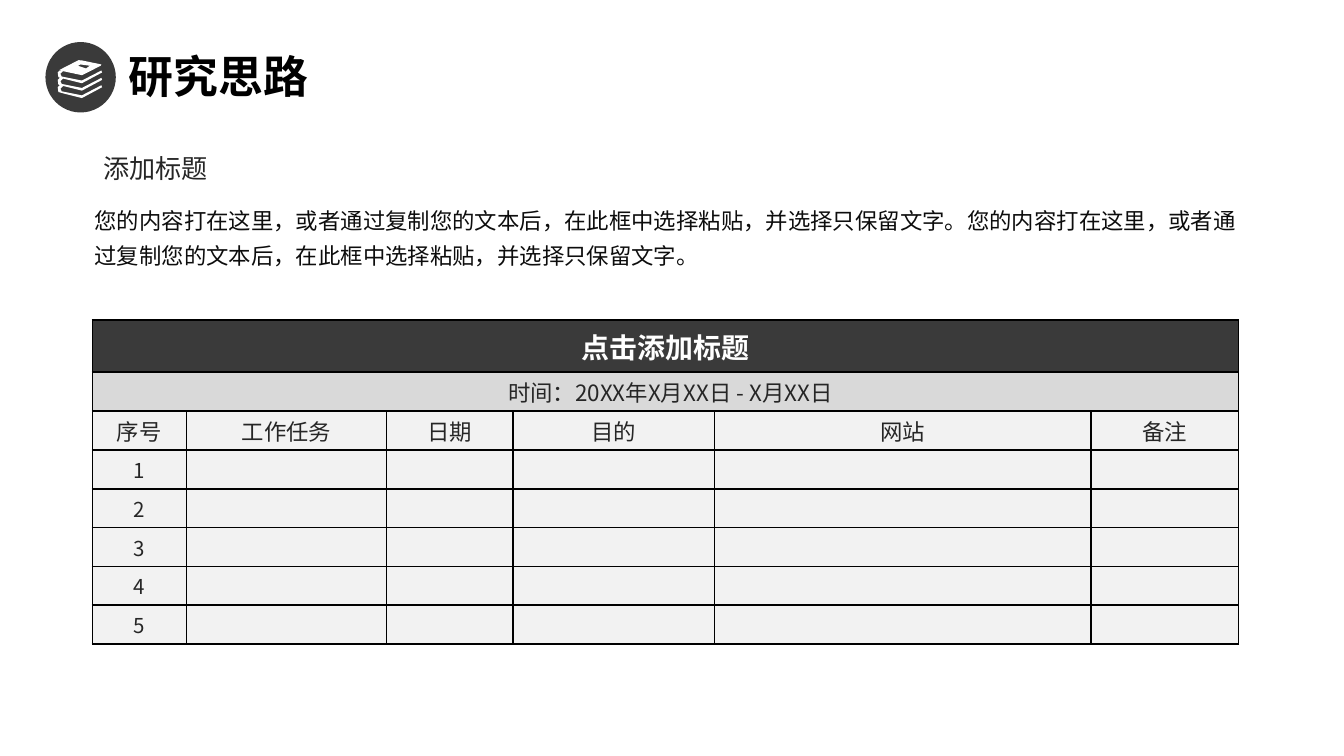
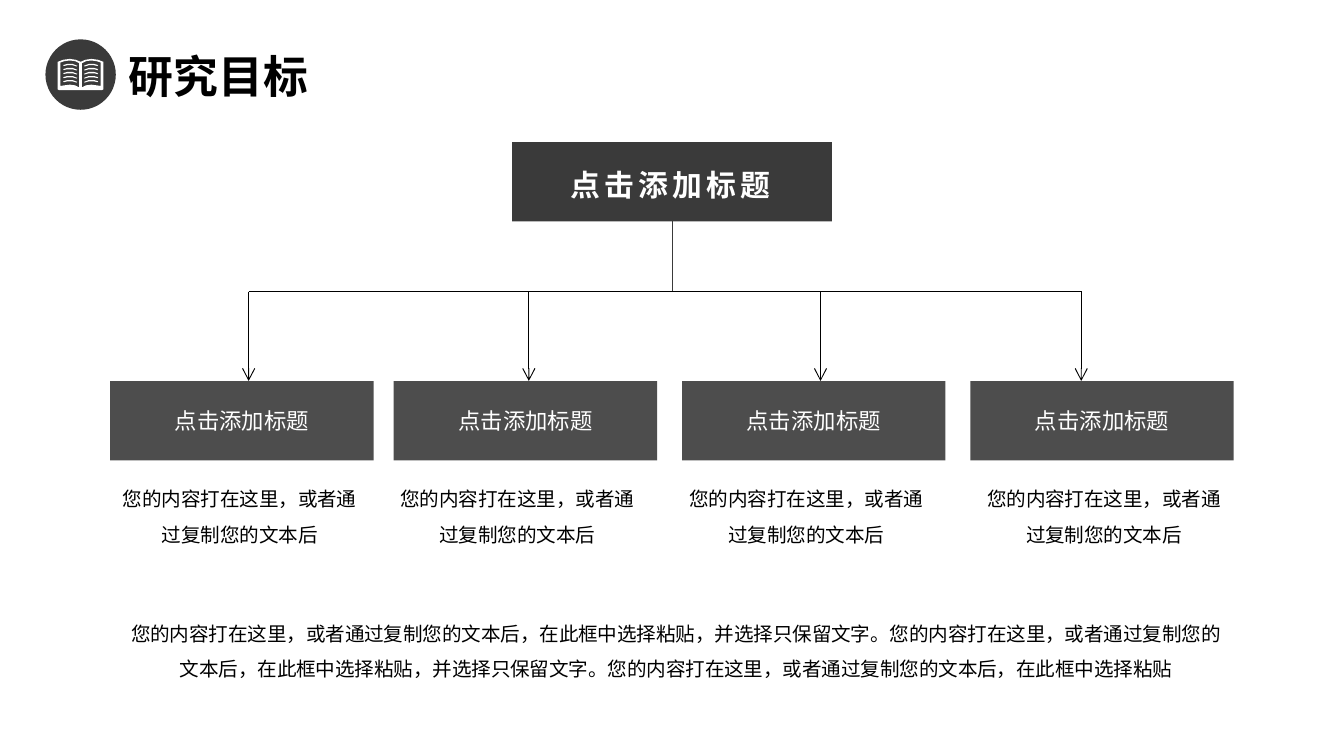
from lxml import etree
from pptx import Presentation
from pptx.dml.color import RGBColor
from pptx.enum import shapes, text
from pptx.oxml import ns
from pptx.util import Inches, Pt

COLS, ROWS = 100, 56.25  # grid cells on the slide, each a tenth of an inch
CELL = Inches(0.1)
SANS = "Noto Sans CJK SC"
HUE = {
    "ink": "000000", "body": "0D0D0D", "soft": "262626", "dark": "3A3A3A",
    "box": "4D4D4D", "band": "D9D9D9", "pale": "F2F2F2", "white": "FFFFFF",
}
MID = text.PP_ALIGN.CENTER

HEAD = "点击添加标题"
PART = "您的内容打在这里，或者通过复制您的文本后"
FULL = PART + "，在此框中选择粘贴，并选择只保留文字。"


def rgb(name):
    return RGBColor.from_string(HUE[name])


def grid(*cells):
    return [round(c * CELL) for c in cells]


def sub(node, tag, **attrs):
    return etree.SubElement(node, ns.qn(tag), **attrs)


class Deck:
    def __init__(self):
        self.prs = Presentation()
        self.prs.slide_width, self.prs.slide_height = grid(COLS, ROWS)
        self.page = None

    def start(self, title, wide):
        """Open a blank slide with its heading."""
        self.page = self.prs.slides.add_slide(self.prs.slide_layouts[6]).shapes
        self.words(title, (8.6, 3.1, wide, 5.1), 24, bold=True, font="Arial")

    def run(self, para, words, size, hue, bold=False, font=SANS, track=None):
        run = para.add_run()
        run.text = words
        run.font.size, run.font.bold, run.font.name = Pt(size), bold, font
        run.font.color.rgb = rgb(hue)
        props = run.font._element
        sub(props, "a:ea", typeface=SANS)
        if track:
            props.set("spc", str(round(track * 100)))

    def words(self, words, at, size, hue="ink", align=None, lead=None,
              wrap=True, **style):
        frame = self.page.add_textbox(*grid(*at)).text_frame
        frame.word_wrap = wrap
        frame.auto_size = text.MSO_AUTO_SIZE.SHAPE_TO_FIT_TEXT
        para = frame.paragraphs[0]
        para.alignment, para.line_spacing = align, lead
        self.run(para, words, size, hue, **style)

    def paint(self, shape, fill, line=None):
        shape.shadow.inherit = False
        shape.fill.solid()
        shape.fill.fore_color.rgb = rgb(fill)
        if line:
            shape.line.color.rgb, shape.line.width = rgb(line), Pt(1)
        else:
            shape.line.fill.background()
        return shape

    def rect(self, at, fill):
        kind = shapes.MSO_SHAPE.RECTANGLE
        return self.paint(self.page.add_shape(kind, *grid(*at)), fill)

    def disc(self, top):
        kind = shapes.MSO_SHAPE.OVAL
        disc = self.page.add_shape(kind, *grid(3.45, top, 5.1, 5.1))
        self.paint(disc, "dark", "dark")

    def free(self, *loops):
        """Draw one white shape from closed outlines; inner ones are holes."""
        pen = self.page.build_freeform(*grid(*loops[0][0]), scale=1.0)
        for i, loop in enumerate(loops):
            pts = [grid(*p) for p in loop]
            if i:
                pen.move_to(*pts[0])
            pen.add_line_segments(pts[1:], close=True)
        self.paint(pen.convert_to_shape(), "white")

    def line(self, start, end, hue="ink", arrow=False):
        kind = shapes.MSO_CONNECTOR.STRAIGHT
        line = self.page.add_connector(kind, *grid(*start, *end))
        line.line.color.rgb, line.line.width = rgb(hue), Pt(0.5)
        if arrow:
            sub(line.line._get_or_add_ln(), "a:tailEnd", type="arrow")
        sub(line._element.spPr, "a:effectLst")
        return line

    def cell(self, cell, words, size, fill, hue="soft", bold=False, left=0.1):
        cell.margin_left, cell.margin_right = grid(left, 0.1)
        cell.margin_top = cell.margin_bottom = 0
        cell.vertical_anchor = text.MSO_ANCHOR.MIDDLE
        props = cell._tc.get_or_add_tcPr()
        for side in "LRTB":
            edge = sub(props, f"a:ln{side}", w=str(Pt(1)))
            sub(sub(edge, "a:solidFill"), "a:srgbClr", val=HUE["ink"])
        cell.fill.solid()
        cell.fill.fore_color.rgb = rgb(fill)
        para = cell.text_frame.paragraphs[0]
        para.alignment = MID
        if words:
            self.run(para, words, size, hue, bold)
        else:
            sub(para._p, "a:endParaRPr", sz=str(size * 100))

    def table(self, at, wide, tall, rows):
        """Each row is (texts, style); a single text spans every column."""
        frame = self.page.add_table(len(tall), len(wide), *grid(*at))
        table = frame.table
        table.first_row = table.horz_banding = False
        for col, width in zip(table.columns, grid(*wide)):
            col.width = width
        for row, height in zip(table.rows, grid(*tall)):
            row.height = height
        for r, (texts, style) in enumerate(rows):
            for c in range(len(wide)):
                words = texts[c] if c < len(texts) else ""
                self.cell(table.cell(r, c), words, **style)
            if len(texts) == 1:
                table.cell(r, 0).merge(table.cell(r, len(wide) - 1))


def books(deck):
    deck.disc(3.2)
    cover = [(4.45, 5.2), (5.85, 4.48), (6.1, 4.5), (7.55, 4.8), (7.5, 4.9),
             (6.1, 5.6), (4.7, 5.3)]
    label = [(6, 4.8), (6.7, 4.9), (6.4, 5.1), (5.8, 4.9)]
    spine = [(4.7, 5.3), (4.45, 5.25), (4.3, 5.4), (4.35, 5.75), (4.7, 5.85),
             (6.1, 6.2), (7.6, 5.4), (7.55, 5.25), (6.1, 6), (4.6, 5.7),
             (4.5, 5.5)]
    stack = [[(x, y + 0.55 * i) for x, y in spine] for i in range(3)]
    deck.free(cover, label, *stack)


def flip(loop):
    return [(12 - x, y) for x, y in loop]


def book(deck):
    deck.disc(3)
    half = [(6, 4.6), (5.65, 4.45), (5.2, 4.38), (4.7, 4.45), (4.3, 4.6),
            (4.3, 6.65), (4.4, 6.7)]
    leaf = [(4.5, 4.65), (4.8, 4.55), (5.2, 4.5), (5.6, 4.55), (5.9, 4.7),
            (5.9, 6.5), (5.6, 6.35), (5.2, 6.3), (4.8, 6.35), (4.5, 6.4)]
    deck.free(half + flip(half)[::-1], leaf, flip(leaf))
    rule = [(4.7, 4.85), (5, 4.76), (5.4, 4.76), (5.75, 4.9), (5.7, 4.95),
            (5.4, 4.86), (5, 4.86), (4.75, 4.92)]
    for side in (rule, flip(rule)):
        for i in range(5):
            deck.free([(x, y + 0.3 * i) for x, y in side])


def plan(deck):
    deck.start("研究思路", 18.8)
    books(deck)
    deck.words("添加标题", (6.7, 10.85, 9.9, 3.4), 14, "soft", wrap=False)
    deck.words(FULL * 2, (6.05, 14.35, 87.9, 6), 12, "body", lead=1.3)

    # Work table: title, period, column heads, numbered rows
    top = dict(size=15, fill="dark", hue="white", bold=True)
    span = dict(size=12, fill="band", left=0.8)
    heads = ["序号", "工作任务", "日期", "目的", "网站", "备注"]
    rows = [([HEAD], top),
            (["时间：20XX年X月XX日 - X月XX日"], span),
            (heads, dict(size=12, fill="pale"))]
    for n in range(1, 6):
        rows.append(([str(n)] + [""] * 5, dict(size=11, fill="pale")))
    wide = [7, 14.9, 9.4, 15, 28, 11]
    deck.table((6.87, 23.8, 85.3, 24.1), wide, [3.9] + [2.89] * 7, rows)


def goals(deck):
    deck.start("研究目标", 23.6)
    book(deck)

    # Root box and the bar below it
    bar, low = 21.7, 28.35
    root = deck.rect((38.1, 10.57, 23.8, 5.9), "dark")
    stem = deck.line((50, 16.47), (50, bar), "dark")
    stem.begin_connect(root, 2)
    deck.words(HEAD, (41.2, 11.9, 17.4, 3.7), 16, "white", MID, wrap=False,
               bold=True, track=2.2)
    deck.line((18.5, bar), (80.5, bar))

    # Branches: left of the box, arrow, left of the note
    for x, tip, note in ((8.2, 18.5, 7.5), (29.3, 39.35, 28.15),
                         (50.75, 61.05, 49.65), (72.2, 80.45, 71.8)):
        deck.line((tip, bar), (tip, low), arrow=True)
        deck.rect((x, low, 19.6, 5.9), "box")
        deck.words(HEAD, (x + 3.75, 29.8, 12.1, 3), 12, "white", MID,
                   wrap=False)
        deck.words(PART, (note, 34.9, 20.7, 6.3), 10.5, align=MID, lead=1.5)

    # Closing text
    deck.words(FULL * 2 + PART + "，在此框中选择粘贴", (8.2, 44.9, 84.3, 6),
               10.5, align=MID, lead=1.5)


def main():
    deck = Deck()
    plan(deck)
    goals(deck)
    deck.prs.save("out.pptx")


if __name__ == "__main__":
    main()
